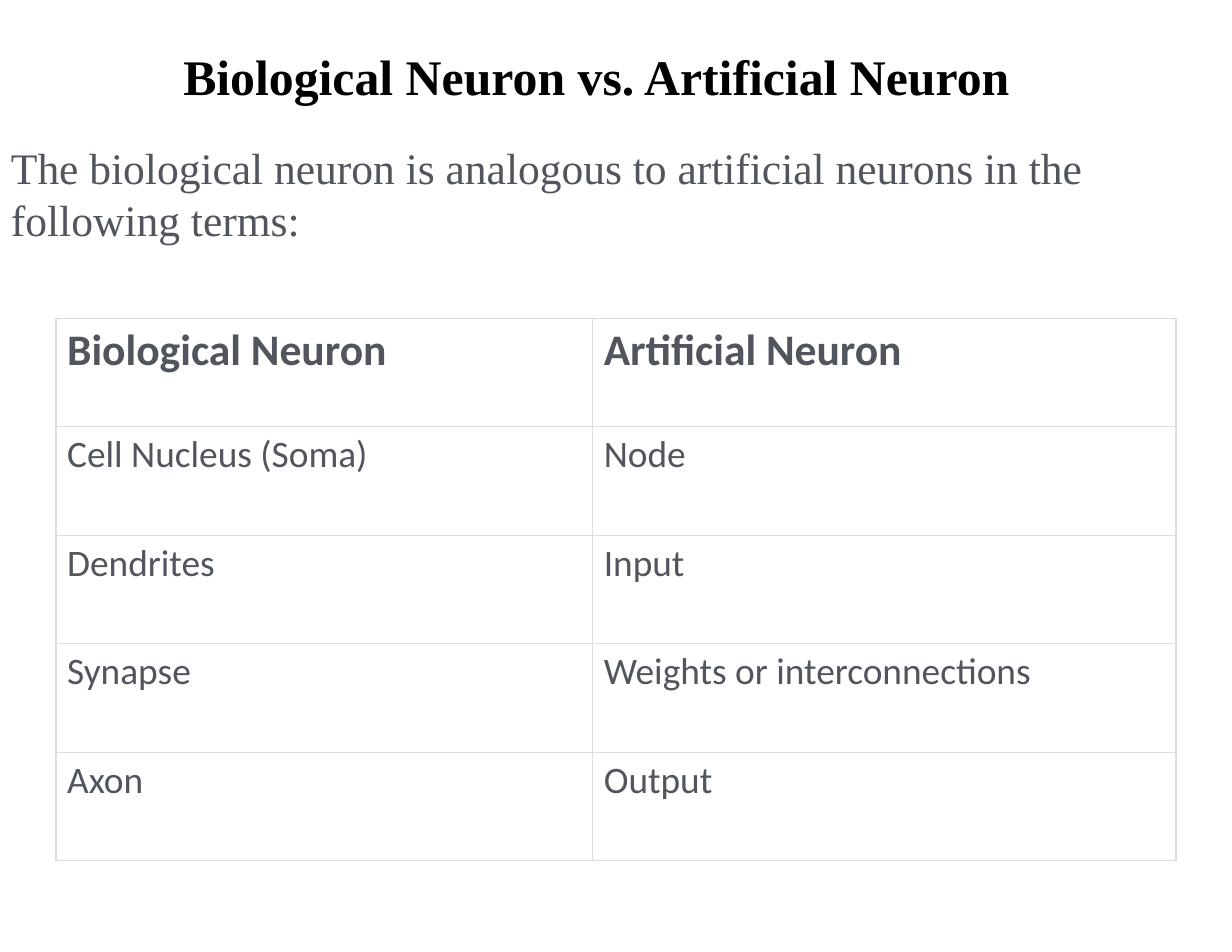
from dataclasses import dataclass

from lxml import etree
from pptx import Presentation
from pptx.dml.color import RGBColor
from pptx.enum.shapes import MSO_SHAPE
from pptx.enum.text import MSO_ANCHOR, PP_ALIGN
from pptx.oxml.ns import qn
from pptx.util import Cm, Pt

RECTANGLE = MSO_SHAPE.RECTANGLE
MIDDLE = MSO_ANCHOR.MIDDLE
LEFT, CENTER = PP_ALIGN.LEFT, PP_ALIGN.CENTER

TITLE = "Biological Neuron vs. Artificial Neuron"
INTRO = "The biological neuron is analogous to artificial neurons in the following terms:"
ROWS = [
    ("Biological Neuron", "Artificial Neuron"),
    ("Cell Nucleus (Soma)", "Node"),
    ("Dendrites", "Input"),
    ("Synapse", "Weights or interconnections"),
    ("Axon", "Output"),
]
COLUMN_WIDTHS = (Cm(12.17), Cm(13.23))
ROW_HEIGHT = Cm(2.46)


@dataclass(frozen=True)
class Theme:
    heading_font: str = "Times New Roman"
    table_font: str = "Calibri"
    black: str = "000000"
    grey: str = "51565E"
    white: str = "FFFFFF"
    border: str = "DDDDDD"
    title_size: int = 32
    large_size: int = 28
    cell_size: int = 24
    title_gap: int = 23
    border_width: float = 0.75


THEME = Theme()


def write_text(paragraph, text, *, font, size, color, bold=False, align=LEFT, gap_after=0):
    paragraph.alignment = align
    paragraph.space_after = Pt(gap_after)
    run = paragraph.add_run()
    run.text = text
    run.font.name = font
    run.font.size = Pt(size)
    run.font.bold = bold
    run.font.color.rgb = RGBColor.from_string(color)


def fill_solid(fill, color):
    fill.solid()
    fill.fore_color.rgb = RGBColor.from_string(color)


def set_cell_borders(cell):
    properties = cell._tc.get_or_add_tcPr()
    for side in ("lnL", "lnR", "lnT", "lnB"):
        line = etree.SubElement(properties, qn(f"a:{side}"), w=str(Pt(THEME.border_width)))
        solid = etree.SubElement(line, qn("a:solidFill"))
        etree.SubElement(solid, qn("a:srgbClr"), val=THEME.border)


def add_comparison_table(slide):
    table = slide.shapes.add_table(
        len(ROWS), len(COLUMN_WIDTHS), Cm(1.27), Cm(7.22),
        sum(COLUMN_WIDTHS), ROW_HEIGHT * len(ROWS),
    ).table
    table.horz_banding = False
    for column, width in zip(table.columns, COLUMN_WIDTHS):
        column.width = width
    for row_index, texts in enumerate(ROWS):
        is_header = row_index == 0
        table.rows[row_index].height = ROW_HEIGHT
        for column_index, text in enumerate(texts):
            cell = table.cell(row_index, column_index)
            set_cell_borders(cell)
            fill_solid(cell.fill, THEME.white)
            write_text(
                cell.text_frame.paragraphs[0], text, font=THEME.table_font,
                size=THEME.large_size if is_header else THEME.cell_size,
                color=THEME.grey, bold=is_header,
            )


def add_heading(slide):
    shape = slide.shapes.add_shape(RECTANGLE, 0, Cm(0.86), Cm(27.08), Cm(4.75))
    shape.shadow.inherit = False
    fill_solid(shape.fill, THEME.white)
    shape.line.fill.background()
    frame = shape.text_frame
    frame.word_wrap = True
    frame.vertical_anchor = MIDDLE
    frame.margin_bottom = 0
    write_text(
        frame.paragraphs[0], TITLE, font=THEME.heading_font, size=THEME.title_size,
        color=THEME.black, bold=True, align=CENTER, gap_after=THEME.title_gap,
    )
    write_text(
        frame.add_paragraph(), INTRO, font=THEME.heading_font,
        size=THEME.large_size, color=THEME.grey,
    )


def main():
    presentation = Presentation()
    presentation.slide_width = Cm(27.94)
    presentation.slide_height = Cm(21.59)
    slide = presentation.slides.add_slide(presentation.slide_layouts[6])
    add_comparison_table(slide)
    add_heading(slide)
    presentation.save("out.pptx")


if __name__ == "__main__":
    main()
